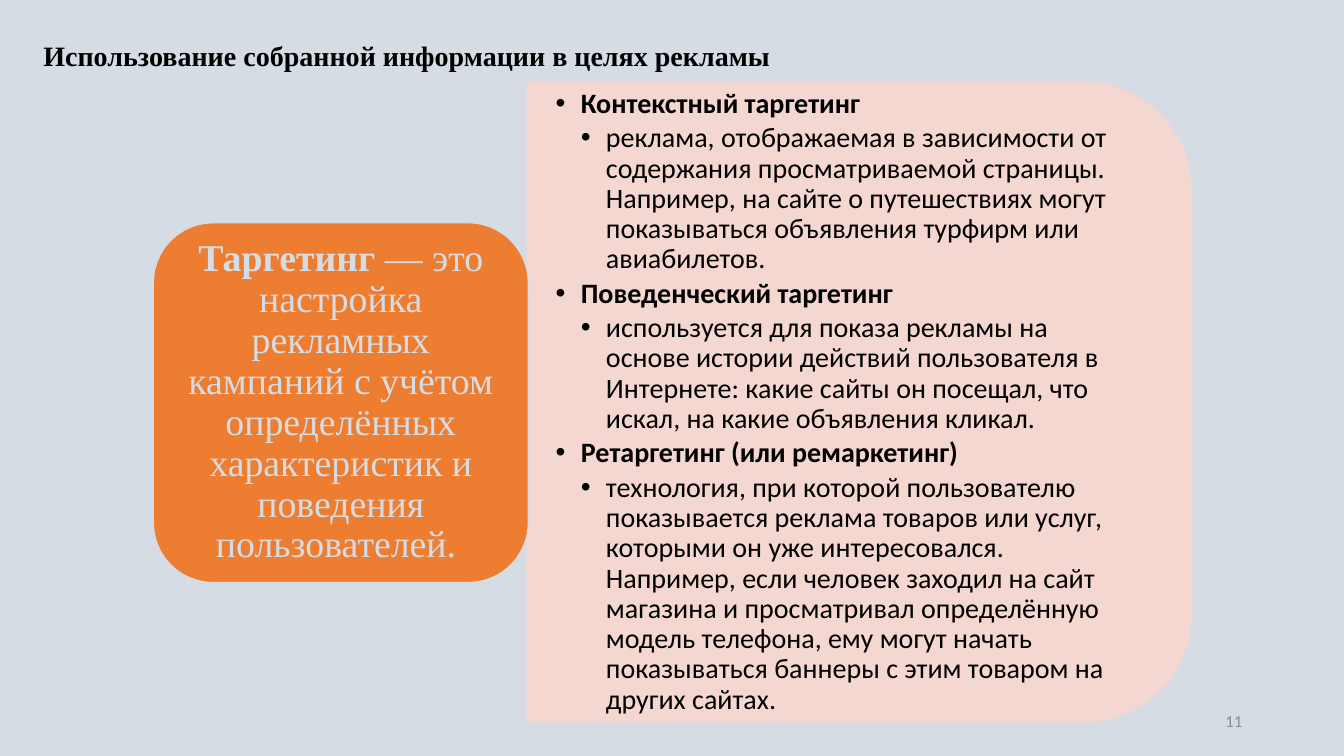
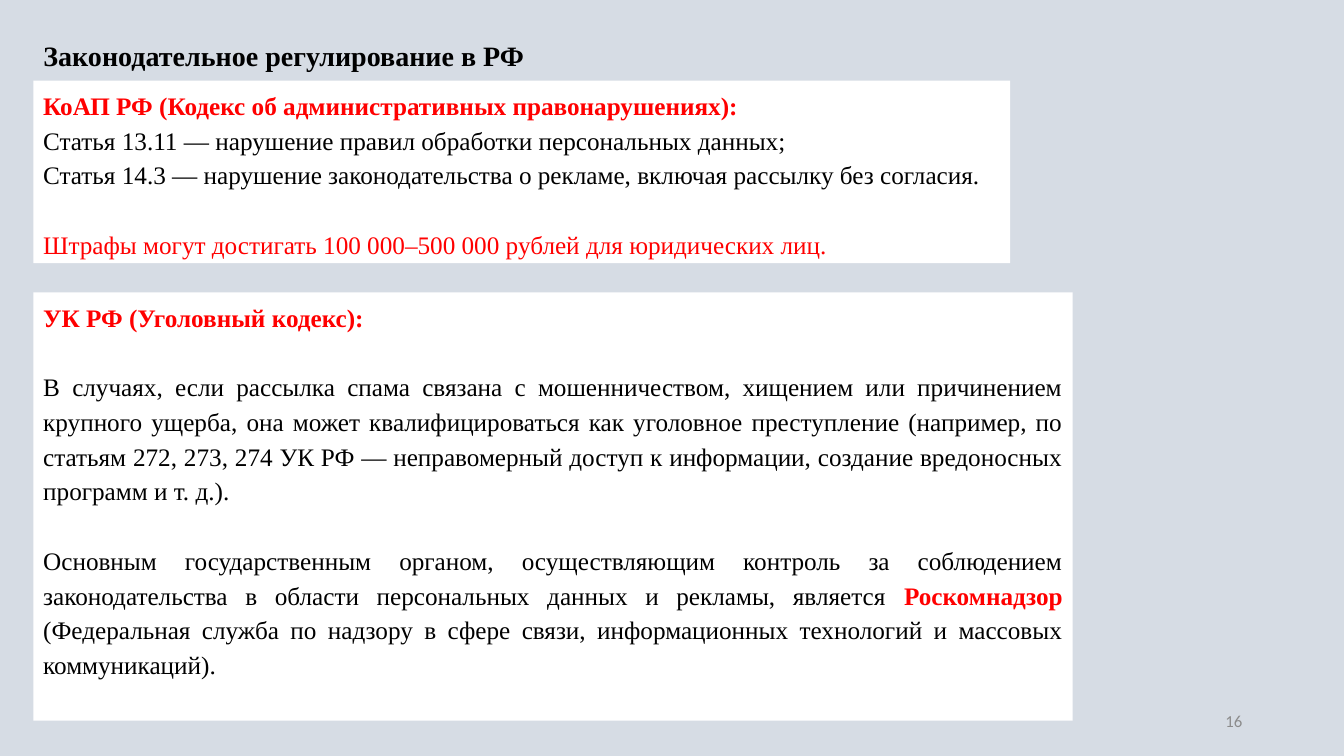
from lxml import etree
from pptx import Presentation
from pptx.dml.color import RGBColor
from pptx.enum import shapes, text
from pptx.oxml import ns
from pptx.util import Inches, Pt

COLORS = {
    "background": "D6DCE4", "black": "000000", "red": "FF0000", "white": "FFFFFF",
    "orange": "ED7D31", "peach": "F8D7CE", "gray": "8C8C8C",
}
SERIF, SANS = "Times New Roman", "Calibri"
BLANK_LINE = 24.8

TARGETING_TITLE = "Использование собранной информации в целях рекламы"
DEFINITION = [
    ("Таргетинг", True),
    (" — это настройка рекламных кампаний с учётом определённых характеристик "
     "и поведения пользователей. ", False),
]
TARGETING_TYPES = [
    ("Контекстный таргетинг",
     "реклама, отображаемая в зависимости от содержания просматриваемой страницы. "
     "Например, на сайте о путешествиях могут показываться объявления турфирм или авиабилетов."),
    ("Поведенческий таргетинг",
     "используется для показа рекламы на основе истории действий пользователя в Интернете: "
     "какие сайты он посещал, что искал, на какие объявления кликал."),
    ("Ретаргетинг (или ремаркетинг)",
     "технология, при которой пользователю показывается реклама товаров или услуг, которыми "
     "он уже интересовался. Например, если человек заходил на сайт магазина и просматривал "
     "определённую модель телефона, ему могут начать показываться баннеры с этим товаром "
     "на других сайтах."),
]

LAW_TITLE = "Законодательное регулирование в РФ"
# Each paragraph: blank line above it, then its runs as (text, color, bold)
LAW_BOXES = [
    ((0.33, 0.8, 9.69, 1.81), [
        (False, [("КоАП РФ (Кодекс об административных правонарушениях):", "red", True)]),
        (False, [("Статья 13.11 — нарушение правил обработки персональных данных;",
                  "black", False)]),
        (False, [("Статья 14.3 — нарушение законодательства о рекламе, включая рассылку "
                  "без согласия.", "black", False)]),
        (True, [("Штрафы могут достигать 100 000–500 000 рублей для юридических лиц.",
                 "red", False)]),
    ]),
    ((0.33, 2.9, 10.31, 4.25), [
        (False, [("УК РФ (Уголовный кодекс):", "red", True)]),
        (True, [("В случаях, если рассылка спама связана с мошенничеством, хищением или "
                 "причинением крупного ущерба, она может квалифицироваться как уголовное "
                 "преступление (например, по статьям 272, 273, 274 УК РФ — неправомерный доступ "
                 "к информации, создание вредоносных программ и т. д.).", "black", False)]),
        (True, [("Основным государственным органом, осуществляющим контроль за соблюдением "
                 "законодательства в области персональных данных и рекламы, является ",
                 "black", False),
                ("Роскомнадзор ", "red", True),
                ("(Федеральная служба по надзору в сфере связи, информационных технологий "
                 "и массовых коммуникаций).", "black", False)]),
    ]),
]


def rgb(name):
    return RGBColor.from_string(COLORS[name])


def set_all(target, **values):
    for name, value in values.items():
        setattr(target, name, value)


def place(shape, box):
    set_all(shape, **dict(zip(("left", "top", "width", "height"), map(Inches, box))))


def format_frame(shape, anchor, horizontal=0.1, vertical=0.05):
    frame = shape.text_frame
    set_all(frame, word_wrap=True, auto_size=text.MSO_AUTO_SIZE.NONE, vertical_anchor=anchor,
            margin_left=Inches(horizontal), margin_right=Inches(horizontal),
            margin_top=Inches(vertical), margin_bottom=Inches(vertical))
    return frame


def next_paragraph(frame, index):
    return frame.paragraphs[0] if index == 0 else frame.add_paragraph()


def add_run(paragraph, content, size, color, bold=False, font=SERIF):
    run = paragraph.add_run()
    run.text = content
    set_all(run.font, size=Pt(size), bold=bold, name=font)
    run.font.color.rgb = rgb(color)


def add_filled_shape(slide, kind, box, fill, line=None):
    shape = slide.shapes.add_shape(kind, *map(Inches, box))
    shape.shadow.inherit = False
    shape.fill.solid()
    shape.fill.fore_color.rgb = rgb(fill)
    if line:
        shape.line.color.rgb = rgb(line)
        shape.line.width = Pt(1)
    else:
        shape.line.fill.background()
    return shape


def set_opacity(shape, percent):
    for color in shape._element.spPr.iter(ns.qn("a:srgbClr")):
        etree.SubElement(color, ns.qn("a:alpha"), val=str(percent * 1000))


def add_bullet(paragraph, indent):
    properties = paragraph._p.get_or_add_pPr()
    properties.set("marL", str(Inches(indent)))
    properties.set("indent", str(Inches(-0.25)))
    etree.SubElement(properties, ns.qn("a:buChar"), char="•")


def add_slide(presentation, layout, title, number):
    slide = presentation.slides.add_slide(presentation.slide_layouts.get_by_name(layout))
    place(slide.shapes.title, (0.33, 0.33, 8.44, 0.44))
    paragraph = format_frame(slide.shapes.title, text.MSO_ANCHOR.TOP).paragraphs[0]
    paragraph.alignment = text.PP_ALIGN.LEFT
    add_run(paragraph, title, 20, "black", bold=True)

    number_box = slide.shapes.add_textbox(*map(Inches, (9.42, 6.95, 3, 0.4)))
    paragraph = format_frame(number_box, text.MSO_ANCHOR.MIDDLE).paragraphs[0]
    paragraph.alignment = text.PP_ALIGN.RIGHT
    add_run(paragraph, str(number), 12, "gray", font=SANS)
    return slide


def build_targeting(presentation):
    slide = add_slide(presentation, "Title and Content", TARGETING_TITLE, 11)
    body = slide.placeholders[1]
    place(body, (5.24, 1.13, 6.27, 5.72))

    panel = add_filled_shape(slide, shapes.MSO_SHAPE.ROUND_2_SAME_RECTANGLE,
                             (5.35, 0.7, 6.34, 6.58), "peach", "peach")
    panel.rotation = 90
    set_opacity(panel, 90)
    body._element.addprevious(panel._element)

    frame = format_frame(body, text.MSO_ANCHOR.MIDDLE, 0.27, 0.14)
    lines = [(level, line) for pair in TARGETING_TYPES for level, line in enumerate(pair)]
    for index, (level, line) in enumerate(lines):
        paragraph = next_paragraph(frame, index)
        add_bullet(paragraph, 0.25 * (level + 1))
        set_all(paragraph, level=level, line_spacing=0.9, space_before=Pt(0), space_after=Pt(3),
                alignment=text.PP_ALIGN.LEFT)
        add_run(paragraph, line, 20, "black", bold=level == 0, font=SANS)

    card = add_filled_shape(slide, shapes.MSO_SHAPE.ROUNDED_RECTANGLE,
                            (1.52, 2.21, 3.72, 3.57), "orange", "background")
    # The rounded corners already inset the text area
    paragraph = format_frame(card, text.MSO_ANCHOR.MIDDLE, 0.11, 0.06).paragraphs[0]
    set_all(paragraph, alignment=text.PP_ALIGN.CENTER, line_spacing=0.9)
    for content, bold in DEFINITION:
        add_run(paragraph, content, 27, "background", bold)


def build_law(presentation):
    slide = add_slide(presentation, "Title Only", LAW_TITLE, 16)
    for box, paragraphs in LAW_BOXES:
        shape = add_filled_shape(slide, shapes.MSO_SHAPE.RECTANGLE, box, "white")
        frame = format_frame(shape, text.MSO_ANCHOR.TOP)
        for index, (gap, runs) in enumerate(paragraphs):
            paragraph = next_paragraph(frame, index)
            set_all(paragraph, alignment=text.PP_ALIGN.JUSTIFY, line_spacing=1.15)
            if gap:
                paragraph.space_before = Pt(BLANK_LINE)
            for content, color, bold in runs:
                add_run(paragraph, content, 18, color, bold)


def main():
    presentation = Presentation()
    set_all(presentation, slide_width=Inches(13.33), slide_height=Inches(7.5))
    background = presentation.slide_master.background.fill
    background.solid()
    background.fore_color.rgb = rgb("background")
    build_targeting(presentation)
    build_law(presentation)
    presentation.save("out.pptx")


if __name__ == "__main__":
    main()
